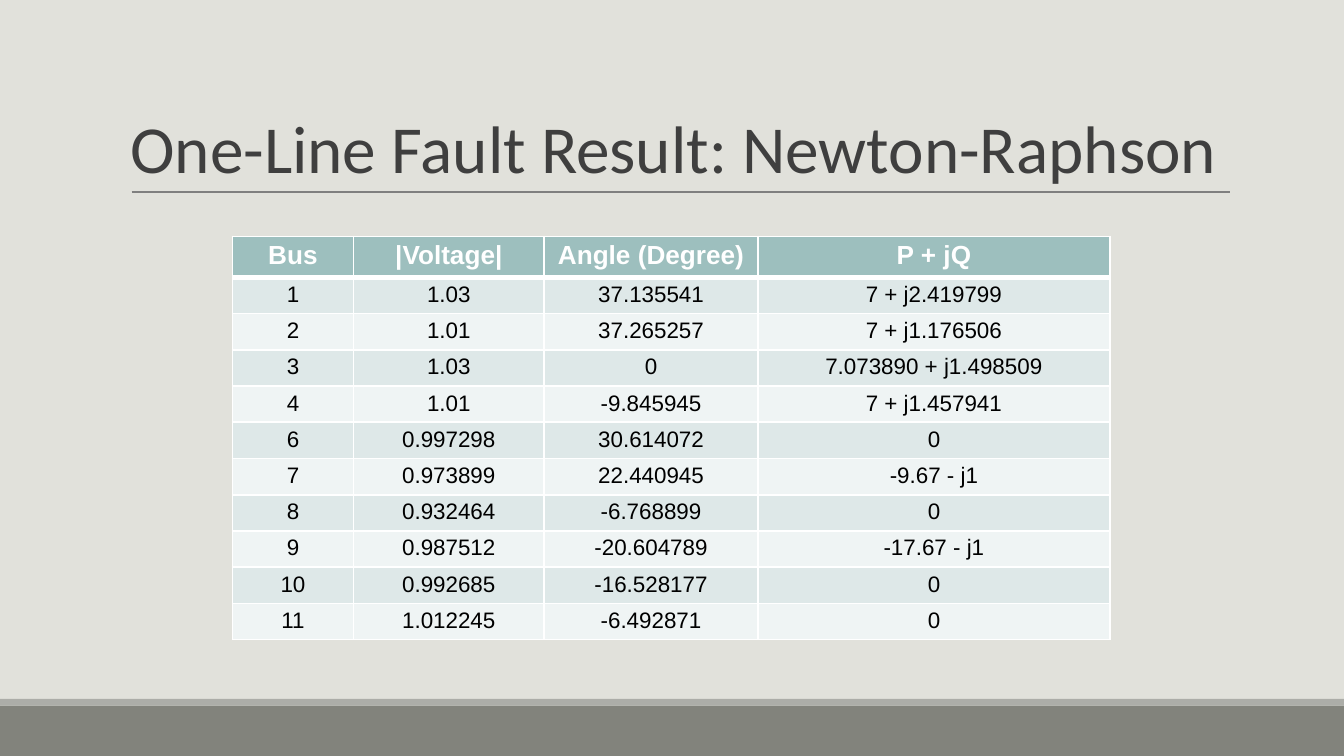
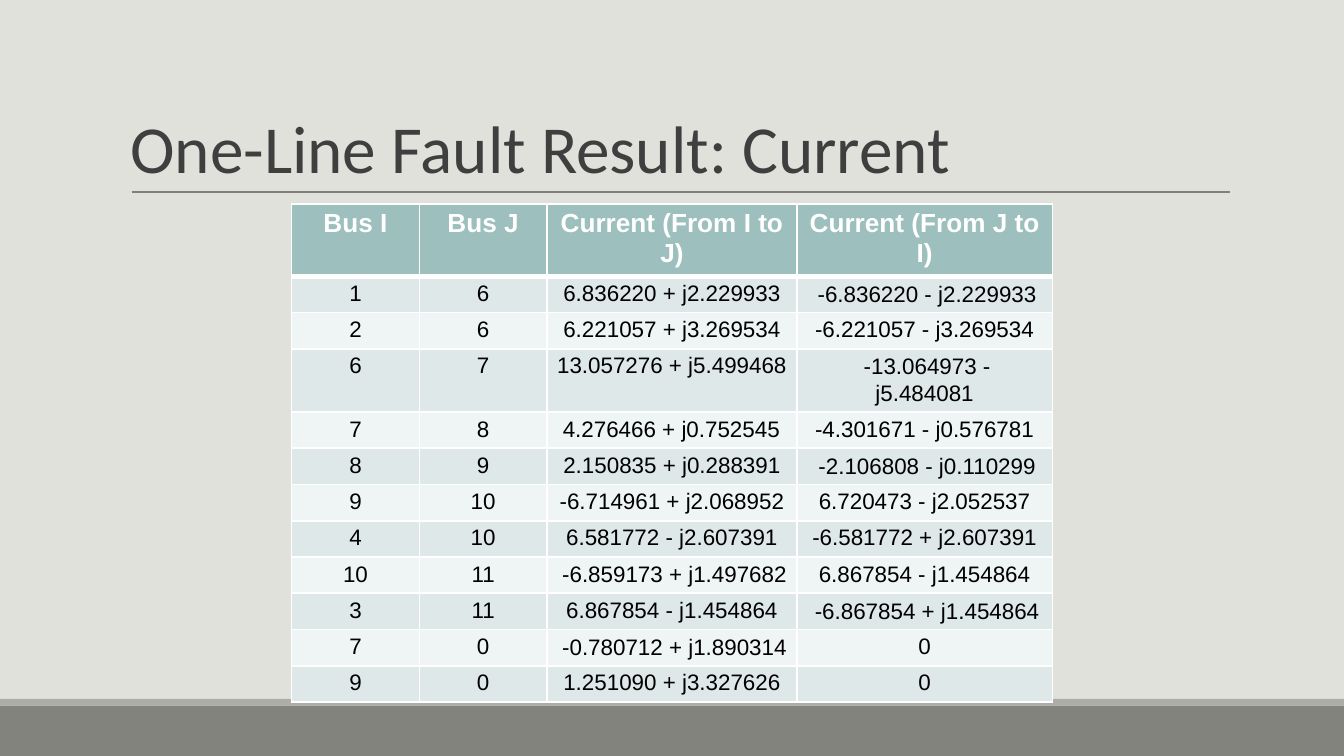
from lxml.etree import SubElement
from pptx import Presentation
from pptx.dml.color import RGBColor
from pptx.enum.shapes import MSO_CONNECTOR, MSO_SHAPE
from pptx.enum.text import MSO_ANCHOR, PP_ALIGN
from pptx.oxml.ns import qn
from pptx.util import Inches, Pt

W, H = 10, 5.625
PAPER, WHITE, BLACK = "E1E1DB", "FFFFFF", "000000"
BANDS = [(5.25, 0.38, "82837C"), (5.2, 0.05, "ACADA8")]
RULE = {"left": 0.98, "right": 9.15, "y": 1.43, "color": "7F7F7F"}
TITLE_BOX = (0.9, 0.24, 8.25, 1.19)
TITLE = {"size": Pt(36), "name": "Calibri", "color": "3F3F3F"}
HEAD = {"size": Pt(14), "name": "Arial", "bold": True, "color": WHITE}
BODY = {"size": Pt(12), "name": "Arial", "bold": False, "color": BLACK}
HEAD_FILL, ROW_FILLS = "9DBFBE", ("DEE8E8", "EFF4F4")
TITLE_MARGINS = {"margin_left": Inches(0.07), "margin_right": Inches(0.07),
                 "margin_top": Inches(0.04), "margin_bottom": Inches(0.04)}
CELL_MARGINS = {"margin_left": Pt(5.25), "margin_right": Pt(5.25),
                "margin_top": Pt(2.5), "margin_bottom": Pt(2.5)}

SLIDES = [
    {
        "title": "One-Line Fault Result: Newton-Raphson",
        "at": (1.73, 1.76),
        "cols": (0.9, 1.42, 1.59, 2.62),
        "head_h": 0.25,
        "row_h": 0.24,
        "rows": [
            ("Bus", "|Voltage|", "Angle (Degree)", "P + jQ"),
            ("1", "1.03", "37.135541", "7 + j2.419799"),
            ("2", "1.01", "37.265257", "7 + j1.176506"),
            ("3", "1.03", "0", "7.073890 + j1.498509"),
            ("4", "1.01", "-9.845945", "7 + j1.457941"),
            ("6", "0.997298", "30.614072", "0"),
            ("7", "0.973899", "22.440945", "-9.67 - j1"),
            ("8", "0.932464", "-6.768899", "0"),
            ("9", "0.987512", "-20.604789", "-17.67 - j1"),
            ("10", "0.992685", "-16.528177", "0"),
            ("11", "1.012245", "-6.492871", "0"),
        ],
    },
    {
        "title": "One-Line Fault Result: Current",
        "at": (2.17, 1.52),
        "cols": (0.95, 0.95, 1.86, 1.9),
        "head_h": 0.3,
        "row_h": 0.27,
        "rows": [
            ("Bus I", "Bus J", "Current (From I to J)", "Current (From J to I)"),
            ("1", "6", "6.836220 + j2.229933", " -6.836220 - j2.229933"),
            ("2", "6", "6.221057 + j3.269534", "-6.221057 - j3.269534"),
            ("6", "7", "13.057276 + j5.499468", " -13.064973 - j5.484081"),
            ("7", "8", " 4.276466 + j0.752545 ", "-4.301671 - j0.576781"),
            ("8", "9", "2.150835 + j0.288391", " -2.106808 - j0.110299"),
            ("9", "10", "-6.714961 + j2.068952", "6.720473 - j2.052537"),
            ("4", "10", "6.581772 - j2.607391", "-6.581772 + j2.607391"),
            ("10", "11", " -6.859173 + j1.497682 ", "6.867854 - j1.454864"),
            ("3", "11", "6.867854 - j1.454864", " -6.867854 + j1.454864"),
            ("7", "0", " -0.780712 + j1.890314", "0"),
            ("9", "0", "1.251090 + j3.327626", "0"),
        ],
    },
]


def rgb(value):
    return RGBColor.from_string(value)


def set_all(target, values):
    for name, value in values.items():
        setattr(target, name, value)


def paint(target, color):
    target.fill.solid()
    target.fill.fore_color.rgb = rgb(color)


def add_run(p, text, style):
    r = p.add_run()
    r.text = text
    set_all(r.font, {k: v for k, v in style.items() if k != "color"})
    r.font.color.rgb = rgb(style["color"])


def add_frame(s, title):
    paint(s.background, PAPER)
    for top, height, color in BANDS:
        sp = s.shapes.add_shape(MSO_SHAPE.RECTANGLE, 0, Inches(top), Inches(W), Inches(height))
        sp.shadow.inherit = False
        paint(sp, color)
        sp.line.fill.background()
    y = Inches(RULE["y"])
    line = s.shapes.add_connector(
        MSO_CONNECTOR.STRAIGHT, Inches(RULE["left"]), y, Inches(RULE["right"]), y)
    line.line.color.rgb = rgb(RULE["color"])
    line.line.width = Pt(0.75)
    SubElement(line._element.spPr, qn("a:effectLst"))
    tf = s.shapes.add_textbox(*map(Inches, TITLE_BOX)).text_frame
    set_all(tf, {"word_wrap": True, "vertical_anchor": MSO_ANCHOR.BOTTOM, **TITLE_MARGINS})
    p = tf.paragraphs[0]
    p.line_spacing = 0.85
    add_run(p, title, TITLE)


def add_borders(cell, top, bottom):
    tcPr = cell._tc.get_or_add_tcPr()
    for side, width in (("L", 1), ("R", 1), ("T", top), ("B", bottom)):
        ln = SubElement(tcPr, qn("a:ln" + side), w=str(Pt(width)))
        SubElement(SubElement(ln, qn("a:solidFill")), qn("a:srgbClr"), val=WHITE)


def fill_cell(cell, text, row):
    set_all(cell, CELL_MARGINS)
    add_borders(cell, 3 if row == 1 else 1, 3 if row == 0 else 1)
    paint(cell, ROW_FILLS[(row - 1) % 2] if row else HEAD_FILL)
    p = cell.text_frame.paragraphs[0]
    p.alignment = PP_ALIGN.CENTER
    style = BODY if row else HEAD
    if text.startswith(" "):
        add_run(p, " ", {**style, "name": "Calibri"})
        text = text[1:]
    add_run(p, text, style)


def add_results(s, at, cols, head_h, row_h, rows):
    heights = [head_h] + [row_h] * (len(rows) - 1)
    table = s.shapes.add_table(
        len(rows), len(cols), *map(Inches, (*at, sum(cols), sum(heights)))).table
    for column, width in zip(table.columns, cols):
        column.width = Inches(width)
    for i, (values, height) in enumerate(zip(rows, heights)):
        table.rows[i].height = Inches(height)
        for j, text in enumerate(values):
            fill_cell(table.cell(i, j), text, i)


def main():
    prs = Presentation()
    prs.slide_width, prs.slide_height = Inches(W), Inches(H)
    for content in SLIDES:
        s = prs.slides.add_slide(prs.slide_layouts[6])
        add_frame(s, content["title"])
        add_results(s, **{k: v for k, v in content.items() if k != "title"})
    prs.save("out.pptx")


if __name__ == "__main__":
    main()
